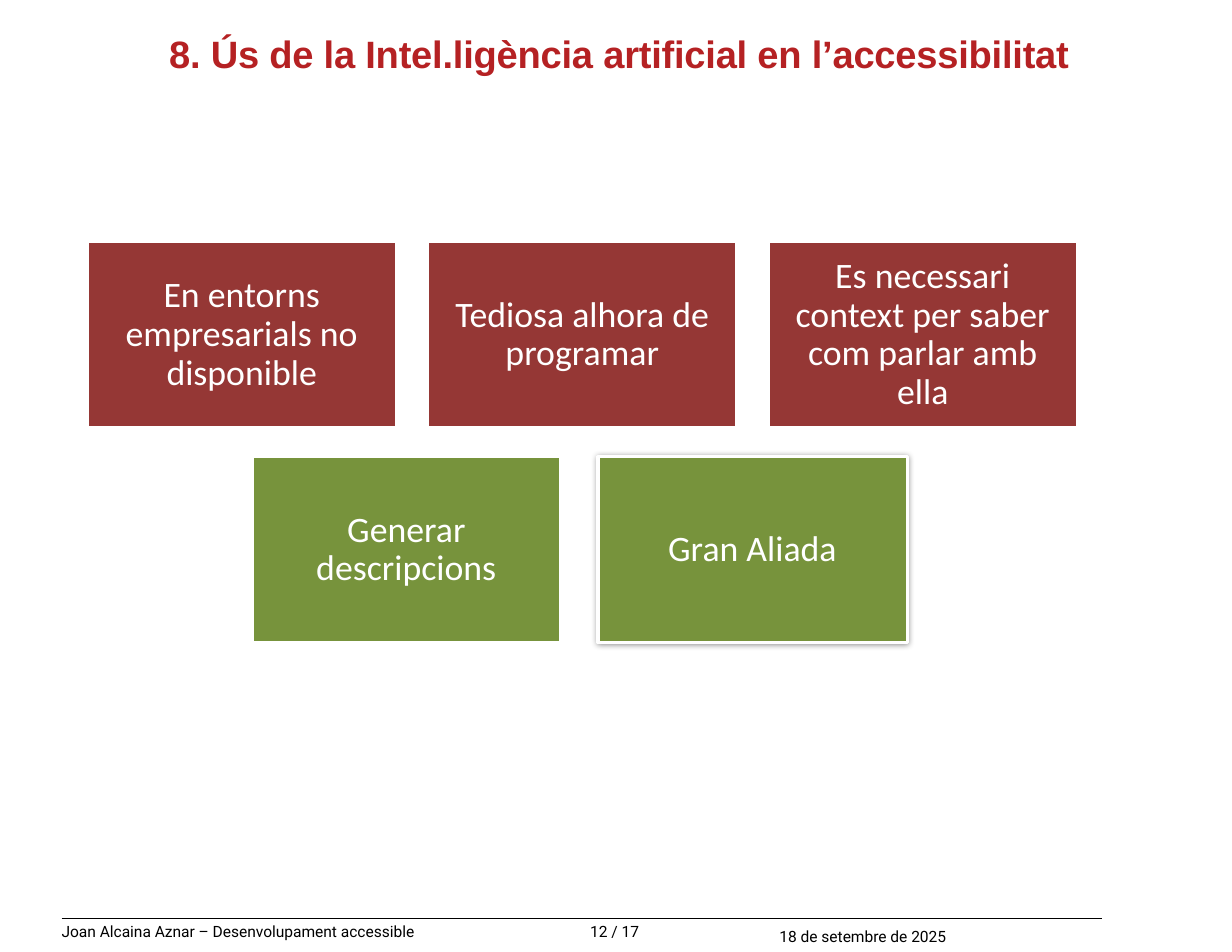
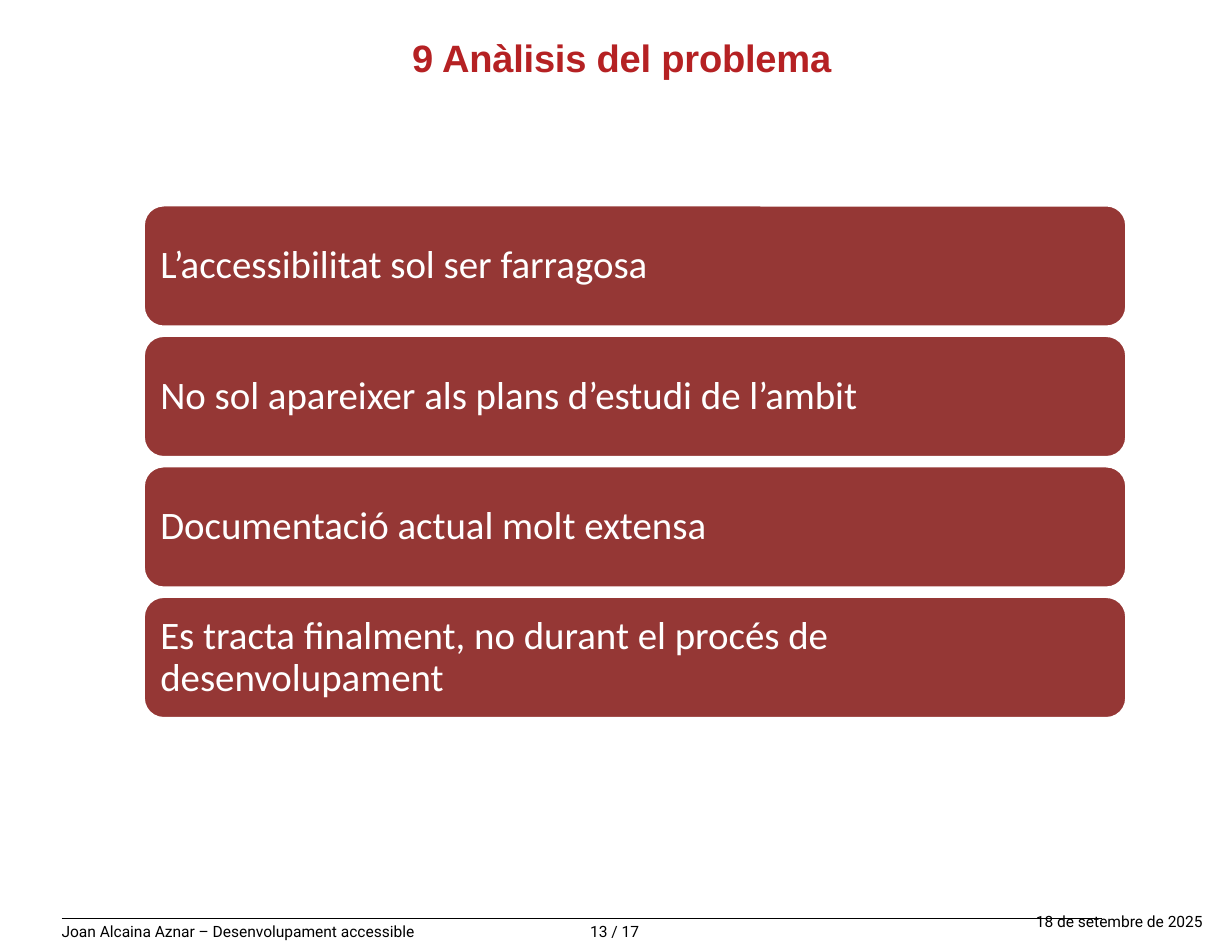
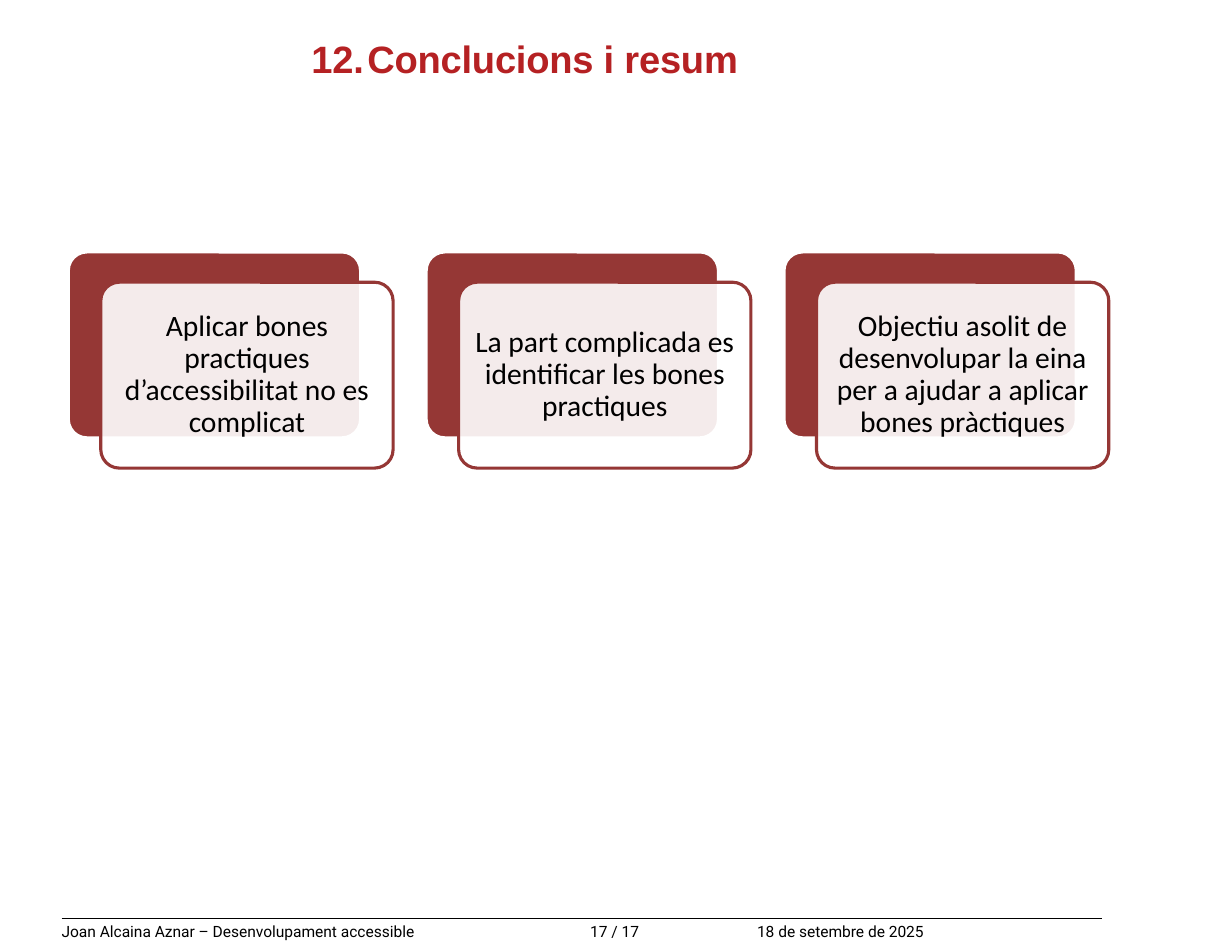
from lxml.etree import SubElement
from pptx import Presentation
from pptx.dml.color import RGBColor
from pptx.enum.shapes import MSO_CONNECTOR, MSO_SHAPE
from pptx.enum.text import MSO_ANCHOR, MSO_AUTO_SIZE, PP_ALIGN
from pptx.oxml.ns import qn
from pptx.util import Inches, Pt

RED, GREEN, TITLE_RED = "953735", "77933C", "B52123"
WHITE, BLACK = "FFFFFF", "000000"
TOTAL_PAGES = 17


def rgb(color):
    return RGBColor.from_string(color)


def write(sp, text, size, font, color, bold=False, align=PP_ALIGN.LEFT,
          anchor=MSO_ANCHOR.TOP, margins=(0, 0.01, 0, 0), before=0,
          leading=1.0, indent=0, spacing=0, tab=None):
    tf = sp.text_frame
    tf.word_wrap = True
    tf.auto_size = MSO_AUTO_SIZE.NONE
    tf.vertical_anchor = anchor
    tf.margin_left, tf.margin_top, tf.margin_right, tf.margin_bottom = map(Inches, margins)
    p = tf.paragraphs[0]
    p.alignment = align
    p.line_spacing = leading
    p.space_before = Pt(before)
    pPr = p._p.get_or_add_pPr()
    pPr.set("marL", str(Inches(indent)))
    pPr.set("indent", "0")
    if tab:
        tabs = SubElement(pPr, qn("a:tabLst"))
        SubElement(tabs, qn("a:tab"), pos=str(Inches(tab)), algn="l")
    r = p.add_run()
    r.text = text
    r.font.size, r.font.name, r.font.bold = Pt(size), font, bold
    r.font.color.rgb = rgb(color)
    if spacing:
        r._r.get_or_add_rPr().set("spc", str(round(spacing * 100)))


def add_box(s, kind, box, fill, line=WHITE, opacity=100, radius=None):
    sp = s.shapes.add_shape(kind, *map(Inches, box))
    sp.shadow.inherit = False
    sp.fill.solid()
    sp.fill.fore_color.rgb = rgb(fill)
    sp.line.color.rgb = rgb(line)
    sp.line.width = Pt(2)
    if radius is not None:
        sp.adjustments[0] = radius
    if opacity < 100:
        color = sp._element.spPr.find(qn("a:solidFill")).find(qn("a:srgbClr"))
        SubElement(color, qn("a:alpha"), val=str(opacity * 1000))
    return sp


def add_glow_shadow(sp):
    effects = sp._element.spPr.find(qn("a:effectLst"))
    shadow = SubElement(effects, qn("a:outerShdw"), blurRad=str(Pt(4)), dist="0",
                        dir="5400000", rotWithShape="0")
    color = SubElement(shadow, qn("a:srgbClr"), val=BLACK)
    SubElement(color, qn("a:alpha"), val="43000")


def add_title(s, text, box, indent, tab=None):
    sp = s.shapes.title
    sp.left, sp.top, sp.width, sp.height = map(Inches, box)
    write(sp, text, 24.5, "Arial", TITLE_RED, bold=True, margins=(0, 0.02, 0, 0),
          before=1.2, indent=indent, spacing=-0.15, tab=tab)


def add_footer(s, page, date_left, date_top):
    rule = s.shapes.add_connector(MSO_CONNECTOR.STRAIGHT, Inches(0.55), Inches(8.2),
                                  Inches(9.84), Inches(8.2))
    rule.line.color.rgb = rgb(BLACK)
    rule.line.width = Pt(0.4)
    SubElement(rule._element.spPr, qn("a:effectLst"))
    for text, box in (
        ("Joan Alcaina Aznar – Desenvolupament accessible", (0.54, 8.22, 3.47, 0.17)),
        (f"{page} / {TOTAL_PAGES}", (5.26, 8.22, 0.5, 0.2)),
        ("18 de setembre de 2025", (date_left, date_top, 1.76, 0.34)),
    ):
        sp = s.shapes.add_textbox(*map(Inches, box))
        write(sp, text, 10, "Roboto", BLACK, before=0.5, indent=0.01)


def add_tile_row(s, texts, left, top, pitch, fill):
    tiles = []
    for i, text in enumerate(texts):
        sp = add_box(s, MSO_SHAPE.RECTANGLE, (left + i * pitch, top, 2.76, 1.66), fill)
        write(sp, text, 23, "Calibri", WHITE, align=PP_ALIGN.CENTER,
              anchor=MSO_ANCHOR.MIDDLE, margins=(0.1,) * 4, leading=0.9)
        tiles.append(sp)
    return tiles


def add_bars(s, texts, left, top, pitch=1.165):
    for i, text in enumerate(texts):
        sp = add_box(s, MSO_SHAPE.ROUNDED_RECTANGLE,
                     (left, top + i * pitch, 8.78, 1.09), RED)
        write(sp, text, 25, "Calibri", WHITE, anchor=MSO_ANCHOR.MIDDLE,
              margins=(0.1,) * 4, leading=0.9)


def add_layered_cards(s, texts, left, top, pitch=3.195):
    for i, text in enumerate(texts):
        x = left + i * pitch
        add_box(s, MSO_SHAPE.ROUNDED_RECTANGLE, (x, top, 2.61, 1.66), RED, radius=0.1)
        sp = add_box(s, MSO_SHAPE.ROUNDED_RECTANGLE, (x + 0.29, top + 0.27, 2.61, 1.66),
                     WHITE, line=RED, opacity=90, radius=0.1)
        write(sp, text, 19, "Calibri", BLACK, align=PP_ALIGN.CENTER,
              anchor=MSO_ANCHOR.MIDDLE, margins=(0.08,) * 4, leading=0.9)


def ai_slide(s):
    add_title(s, "8. Ús de la Intel.ligència artificial en l’accessibilitat",
              (-1.25, 0.25, 11.73, 0.43), indent=2.76)
    add_footer(s, 12, 6.95, 8.27)
    add_tile_row(s, ["En entorns empresarials no disponible",
                     "Tediosa alhora de programar",
                     "Es necessari context per saber com parlar amb ella"],
                 0.78, 2.16, 3.04, RED)
    tiles = add_tile_row(s, ["Generar descripcions", "Gran Aliada"],
                         2.25, 4.08, 3.09, GREEN)
    add_glow_shadow(tiles[-1])


def problem_slide(s):
    add_title(s, "9 Anàlisis del problema", (2.08, 0.29, 5.75, 0.43), indent=1.6)
    add_footer(s, 13, 9.24, 8.13)
    add_bars(s, ["L’accessibilitat sol ser farragosa",
                 "No sol apareixer als plans d’estudi de l’ambit",
                 "Documentació actual molt extensa",
                 "Es tracta finalment, no durant el procés de desenvolupament"],
             1.28, 1.83)


def conclusions_slide(s):
    add_title(s, "12.\tConclucions i resum", (2.77, 0.3, 4.2, 0.43), indent=0.01, tab=0.65)
    add_footer(s, 17, 6.75, 8.22)
    add_layered_cards(s, ["Aplicar bones practiques d’accessibilitat no es complicat",
                          "La part complicada es identificar les bones practiques",
                          "Objectiu asolit de desenvolupar la eina per a ajudar a "
                          "aplicar bones pràctiques"],
                      0.61, 2.25)


def main():
    prs = Presentation()
    prs.slide_width, prs.slide_height = Inches(11), Inches(8.5)
    for build in (ai_slide, problem_slide, conclusions_slide):
        build(prs.slides.add_slide(prs.slide_layouts[5]))
    prs.save("out.pptx")


if __name__ == "__main__":
    main()
